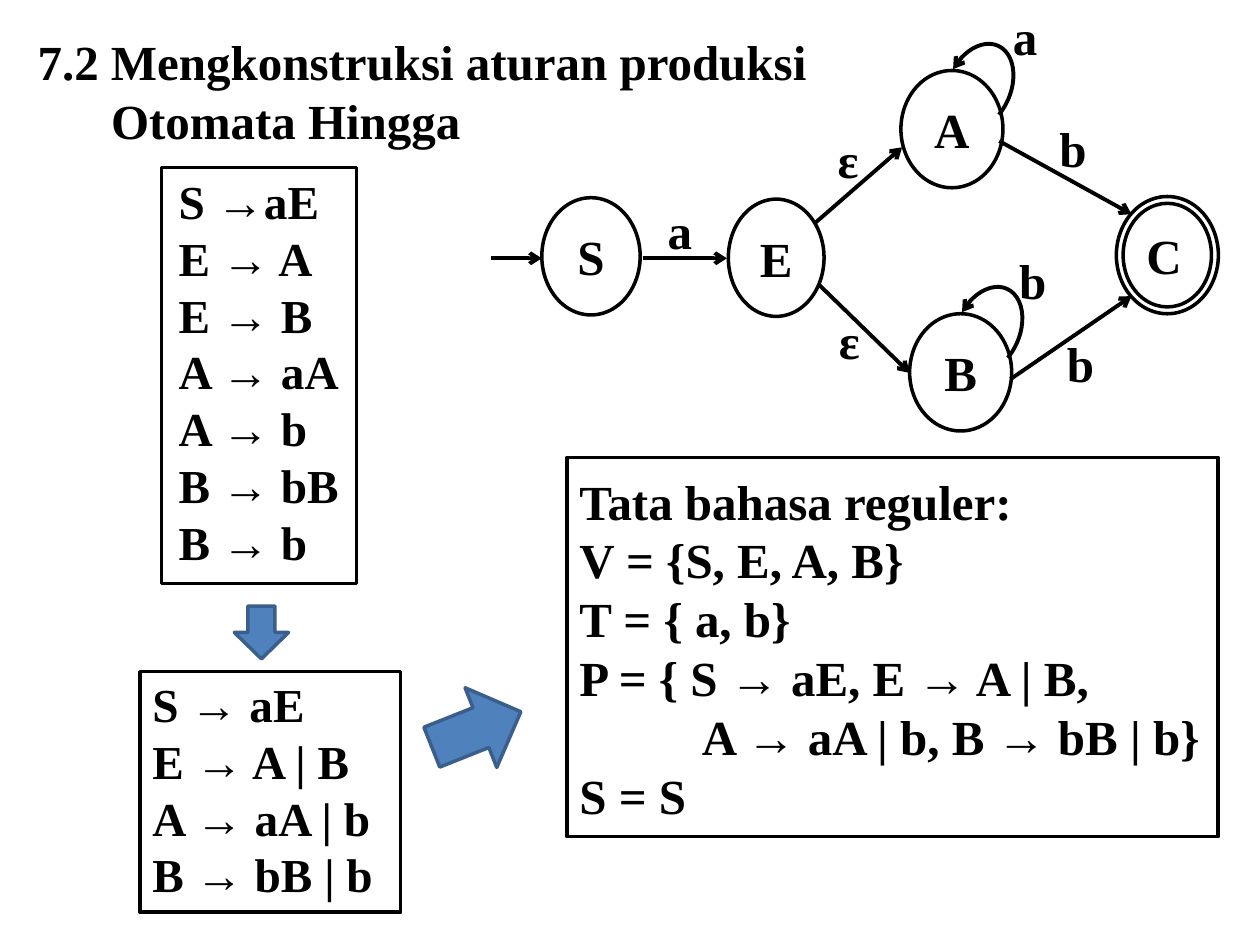
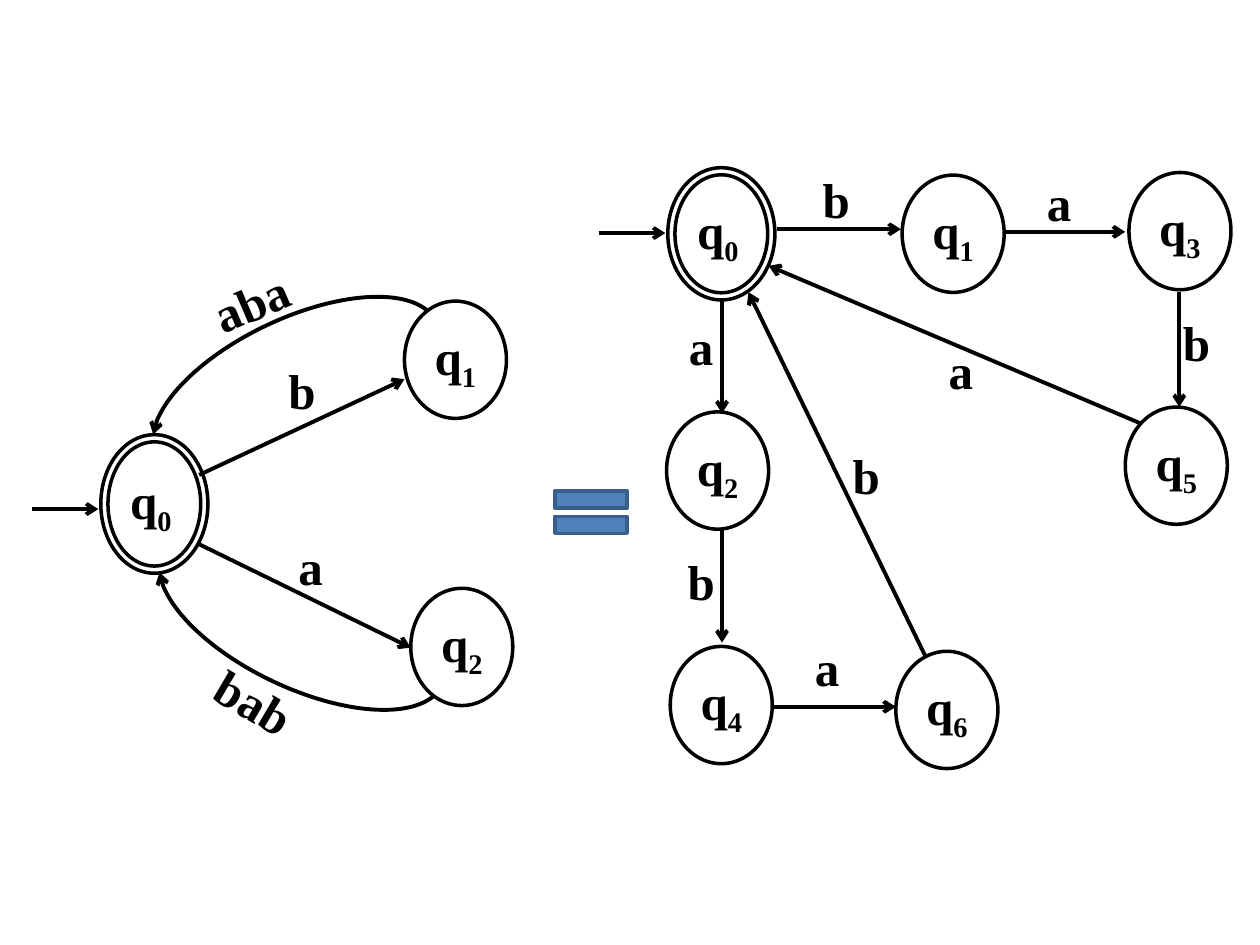
"""Build two slides on regular grammars and finite automata."""
import pptx
import pptx.dml.color
import pptx.enum.shapes
import pptx.enum.text
import pptx.oxml.ns
import pptx.util
from lxml import etree

Pt = pptx.util.Pt
Shapes = pptx.enum.shapes.MSO_SHAPE
Align = pptx.enum.text.PP_ALIGN

FONT = "Times New Roman"
BLACK, BLUE, DARK_BLUE = "000000", "4F81BD", "3A5F8C"
STATE_SIZE = (58.3, 67)
LABEL_WIDTHS = {"a": 28.4, "b": 30, "ε": 26.7, "aba": 58.3, "bab": 60.5}
LABEL_HEIGHT = 41


def color(value):
    """Turn a hex string into a colour."""
    return pptx.dml.color.RGBColor.from_string(value)


def add_child(parent, tag, **attributes):
    """Append a drawing element to an XML parent."""
    return etree.SubElement(parent, pptx.oxml.ns.qn(tag), **attributes)


def set_line(line, value=BLACK, weight=2, arrow_end=None):
    """Colour a line and put an open arrowhead at one end if asked."""
    line.color.rgb = color(value)
    line.width = Pt(weight)
    if arrow_end:
        add_child(line._get_or_add_ln(), arrow_end, type="arrow")


def write_text(frame, text, size=28, align=Align.LEFT, indents=None):
    """Write lines of bold text; an underscore starts a subscript."""
    for index, line in enumerate(text.split("\n")):
        para = frame.paragraphs[0] if index == 0 else frame.add_paragraph()
        para.alignment = align
        if indents and index in indents:
            para._p.get_or_add_pPr().set("marL", str(Pt(indents[index])))
        base, _, subscript = line.partition("_")
        for part in filter(None, (base, subscript)):
            span = para.add_run()
            span.text = part
            span.font.name = FONT
            span.font.size = Pt(size)
            span.font.bold = True
            span.font.color.rgb = color(BLACK)
        if subscript:
            span._r.get_or_add_rPr().set("baseline", "-25000")


def add_text(page, area, text, wrap=False, turn=0, **style):
    """Add a text box that grows with its text."""
    box = page.shapes.add_textbox(*map(Pt, area))
    box.rotation = turn
    box.text_frame.word_wrap = wrap
    box.text_frame.auto_size = pptx.enum.text.MSO_AUTO_SIZE.SHAPE_TO_FIT_TEXT
    write_text(box.text_frame, text, **style)


def add_shape(page, kind, area, fill=None, turn=0, **line):
    """Add a preset shape, hollow unless a fill is given."""
    shape = page.shapes.add_shape(kind, *map(Pt, area))
    shape.shadow.inherit = False
    shape.rotation = turn
    if fill:
        shape.fill.solid()
        shape.fill.fore_color.rgb = color(fill)
    else:
        shape.fill.background()
    set_line(shape.line, **line)
    return shape


def add_state(page, left, top, name, size=STATE_SIZE, final=False):
    """Add an automaton state, ringed twice when final."""
    kind = Shapes.DONUT if final else Shapes.OVAL
    state = add_shape(page, kind, (left, top, *size))
    frame = state.text_frame
    frame.word_wrap = False
    frame.vertical_anchor = pptx.enum.text.MSO_ANCHOR.MIDDLE
    if final:
        state.adjustments[0] = 0.067
        frame.margin_left = Pt(3.2)
    write_text(frame, name, align=Align.CENTER)


def add_arc(page, area, turn, angles, flip=False):
    """Add a curved transition with its arrowhead at the start."""
    arc = add_shape(page, Shapes.ARC, area, turn=turn, weight=2.25, arrow_end="a:headEnd")
    for index, angle in enumerate(angles):
        arc.adjustments[index] = angle * 0.6
    if flip:
        arc._element.spPr.xfrm.set("flipV", "1")


def add_arrow(page, *ends):
    """Add a straight transition from its start to its tip."""
    straight = pptx.enum.shapes.MSO_CONNECTOR.STRAIGHT
    arrow = page.shapes.add_connector(straight, *map(Pt, ends))
    set_line(arrow.line, weight=2.25, arrow_end="a:tailEnd")
    add_child(arrow._element.spPr, "a:effectLst")


def add_label(page, left, top, text, turn=0):
    """Add the input symbols of a transition."""
    add_text(page, (left, top, LABEL_WIDTHS[text], LABEL_HEIGHT), text, turn=turn)


def add_panel(page, frame_area, text_area, text, **style):
    """Add lines of text inside a thin frame."""
    add_text(page, text_area, text, **style)
    add_shape(page, Shapes.RECTANGLE, frame_area)


def add_blue_sign(page, kind, area, turn=0):
    """Add a blue arrow or equals sign."""
    add_shape(page, kind, area, fill=BLUE, value=DARK_BLUE, turn=turn)


def add_diagram(page, states, arrows, labels):
    """Add states, straight transitions and upright labels."""
    for state in states:
        add_state(page, *state)
    for arrow in arrows:
        add_arrow(page, *arrow)
    for label in labels:
        add_label(page, *label)


def build_grammar(page):
    """Show an automaton and the production rules derived from it."""
    add_text(page, (14.4, 14.4, 471.6, 75),
             "7.2 Mengkonstruksi aturan produksi\nOtomata Hingga", wrap=True, indents={1: 42})
    add_state(page, 637.9, 112.3, "C", final=True)
    add_diagram(
        page,
        states=[(309.6, 113, "S", (56.2, 67)), (416.2, 113.8, "E", (54.7, 67)),
                (514.8, 40.3, "A"), (519.8, 179.3, "B")],
        arrows=[(280.8, 147.6, 309.6, 147.6), (367.2, 147.6, 415.4, 147.6),
                (465.8, 127.4, 515.5, 84.2), (468, 162.7, 519.8, 213.1),
                (571, 80.6, 646.6, 122.4), (577.4, 216.7, 646.6, 169.2)],
        labels=[(598.3, 64.1, "b"), (374.4, 110.9, "a"), (571.7, 0, "a"), (575.3, 139.7, "b"),
                (472.3, 174.2, "ε"), (471.6, 70.6, "ε"), (602.6, 187.2, "b")])
    for left, top in ((541.4, 23.8), (546.5, 162.7)):
        add_arc(page, (left, top, 36, 52.6), 24.8, (190.82, 28.89))

    add_panel(page, (92.2, 95.8, 111.6, 237.6), (95, 95, 110.2, 244.8),
              "S →aE\nE → A\nE → B\nA → aA\nA → b\nB → bB\nB → b", size=27)
    add_panel(page, (80, 383.8, 149, 137.5), (80, 382.3, 141.1, 138.2),
              "S → aE\nE → A | B\nA → aA | b\nB → bB | b", size=27)
    add_panel(page, (324, 261.4, 372.2, 216.7), (324, 265.7, 373, 211),
              "Tata bahasa reguler:\nV = {S, E, A, B}\nT = { a, b}\n"
              "P = { S → aE, E → A | B,\nA → aA | b, B → bB | b}\nS = S",
              wrap=True, indents={4: 70})
    add_blue_sign(page, Shapes.DOWN_ARROW, (133.9, 346.3, 31, 30.2))
    add_blue_sign(page, Shapes.DOWN_ARROW, (247.7, 389.5, 49, 54.7), turn=248.3)


def build_equivalence(page):
    """Show an automaton with word transitions and its one-symbol equal."""
    add_state(page, 57.6, 248.4, "q_0", (61.2, 79.2), final=True)
    add_diagram(
        page,
        states=[(231.1, 172.1, "q_1"), (234.7, 336.2, "q_2")],
        arrows=[(18, 290.9, 56.2, 290.9), (113.8, 271.4, 231.1, 216.7),
                (113.8, 311, 234.7, 370.1)],
        labels=[(163.4, 303.1, "a"), (157.7, 202.3, "b"),
                (114.5, 151.9, "aba", 336.6), (115.9, 380.9, "bab", 30.5)])
    bow = (187.44, 354.64)
    add_arc(page, (80.6, 182.2, 177.1, 79.2), 334.6, bow)
    add_arc(page, (84.2, 313.9, 177.1, 79.2), 25.4, bow, flip=True)

    add_state(page, 381.6, 95.8, "q_0", (61.2, 75.6), final=True)
    add_diagram(
        page,
        states=[(515.5, 100.1, "q_1"), (380.9, 235.4, "q_2"), (645.1, 98.6, "q_3"),
                (383, 369.4, "q_4"), (643, 232.6, "q_5"), (511.9, 372.2, "q_6")],
        arrows=[(342, 133.2, 380.2, 133.2), (444.2, 131, 514.8, 131),
                (574.6, 132.5, 643, 132.5), (673.9, 167, 673.9, 232.6),
                (412.6, 172.1, 412.6, 236.2), (412.6, 301.7, 412.6, 367.2),
                (441.4, 403.9, 511.9, 403.9), (529.2, 375.8, 427.7, 167),
                (651.6, 241.9, 439.2, 151.9)],
        labels=[(463, 93.6, "b"), (591.1, 95, "a"), (668.9, 175, "b"), (535, 190.8, "a"),
                (386.6, 177.1, "a"), (385.9, 311.8, "b"), (458.6, 360.7, "a"),
                (480.2, 251.3, "b")])
    add_blue_sign(page, Shapes.MATH_EQUAL, (309.6, 272.2, 56.2, 41))


def main():
    """Build the deck and save it."""
    deck = pptx.Presentation()
    deck.slide_width, deck.slide_height = Pt(720), Pt(540)
    for build in (build_grammar, build_equivalence):
        build(deck.slides.add_slide(deck.slide_layouts[6]))
    deck.save("out.pptx")


if __name__ == "__main__":
    main()
